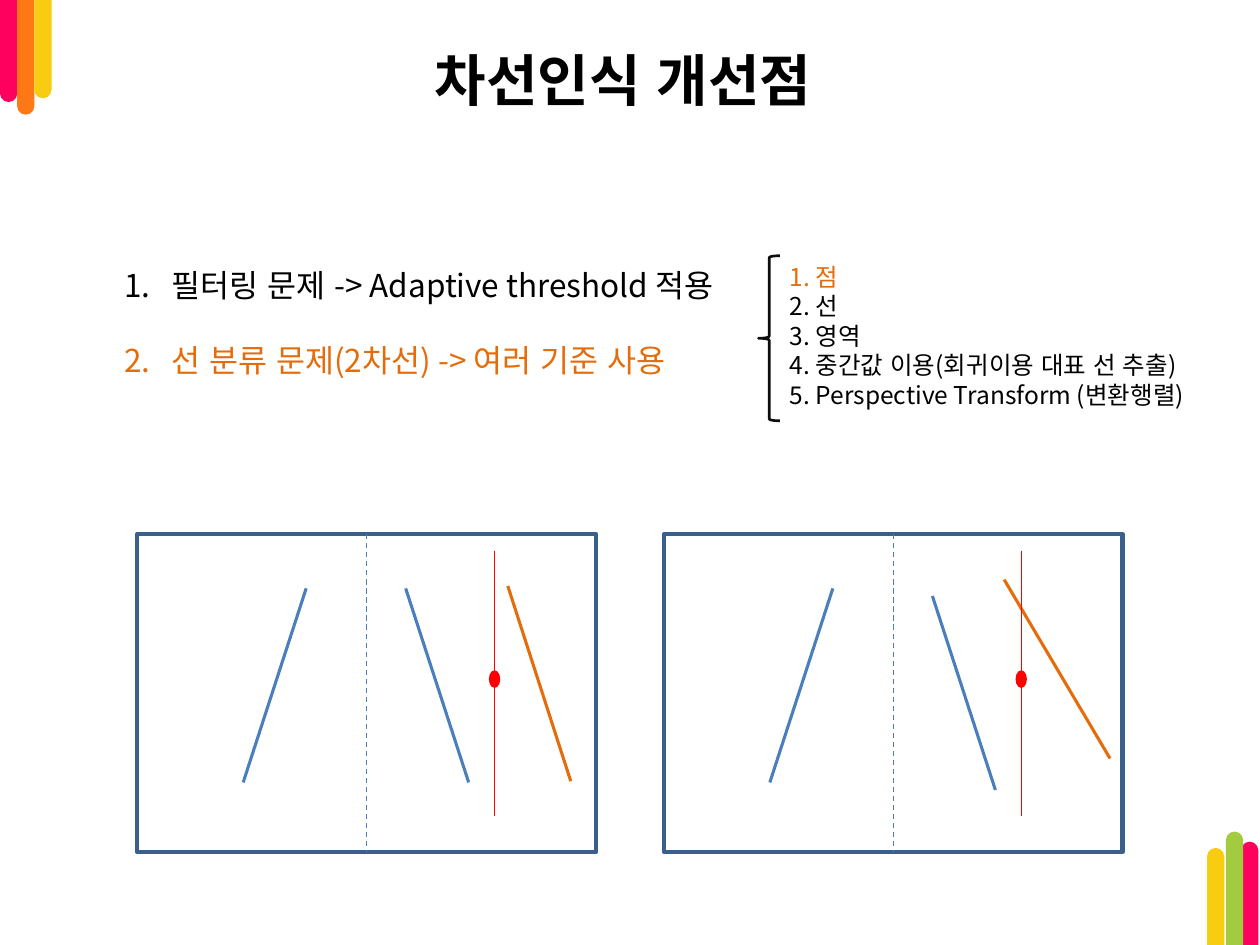
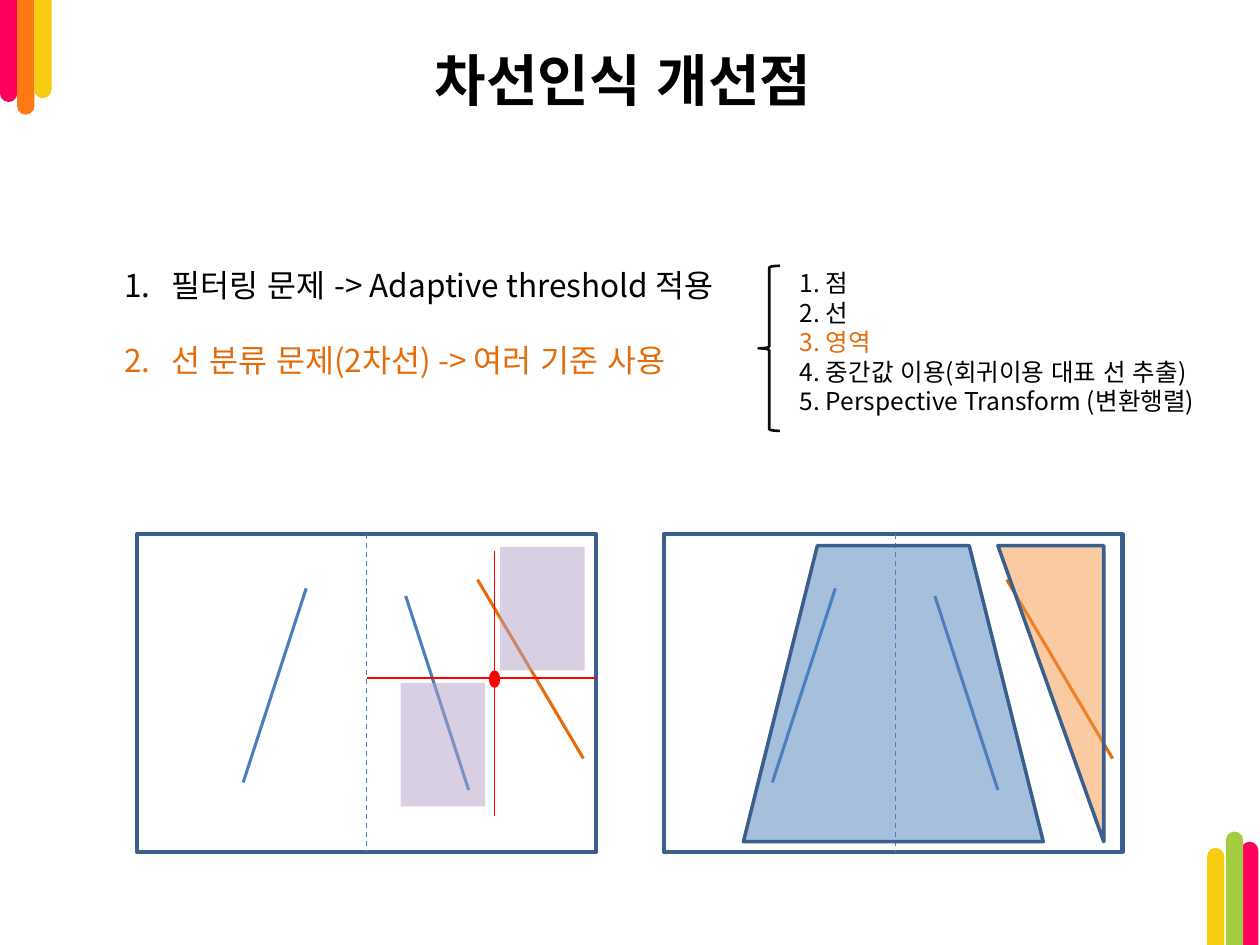
import dataclasses

import lxml.etree
import pptx
import pptx.dml.color
import pptx.enum.dml
import pptx.enum.lang
import pptx.enum.shapes
import pptx.enum.text
import pptx.oxml.ns
import pptx.util

SHAPE = pptx.enum.shapes.MSO_SHAPE
ALIGN = pptx.enum.text.PP_ALIGN
ANCHOR = pptx.enum.text.MSO_ANCHOR
qn = pptx.oxml.ns.qn


@dataclasses.dataclass(frozen=True)
class Theme:
    ink: str = "000000"
    brace: str = "0D0D0D"
    accent: str = "E46C0A"
    lane: str = "4B7EBC"
    frame: str = "3A5F8C"
    marker: str = "FF0000"
    own_area: str = "4F81BD"
    side_area: str = "F79646"
    window: str = "B3A2C7"
    pink: str = "FE005E"
    orange: str = "FE7815"
    yellow: str = "F8CC11"
    green: str = "A3CB3F"
    title_font: str = "Karla"
    body_font: str = "Noto Sans CJK KR"
    title_size: int = 32
    body_size: int = 18
    option_size: int = 14
    hairline: float = 0.75
    brace_line: float = 1.5
    lane_line: float = 1.75
    area_line: float = 2
    frame_line: float = 2.5


TITLE = "차선인식 개선점"
IMPROVEMENTS = ["필터링 문제 -> Adaptive threshold 적용",
                "선 분류 문제(2차선) -> 여러 기준 사용"]
CRITERIA = ["1. 점", "2. 선", "3. 영역", "4. 중간값 이용(회귀이용 대표 선 추출)",
            "5. Perspective Transform (변환행렬)"]

COLUMNS, ROWS = 100, 75
PANEL_TOP, PANEL_WIDTH, PANEL_HEIGHT = 42.4, 36.4, 25.2
PANEL_LEFTS = (10.9, 52.7)
MIDDLE = PANEL_WIDTH / 2
MARKER_X, MARKER_Y = 28.35, 11.5

# Lanes inside a panel: x and y of the far end, then of the near end
LEFT_LANE = (13.4, 4.3, 8.4, 19.7)
RIGHT_LANE = (21.3, 4.3, 26.3, 19.7)
LOW_RIGHT_LANE = (21.3, 4.9, 26.3, 20.3)
PARALLEL_LINE = (29.4, 4.1, 34.4, 19.6)
SLANTED_LINE = (27, 3.6, 35.4, 17.8)


def rgb(color):
    return pptx.dml.color.RGBColor.from_string(color)


class Deck:
    """Draws on the current slide, in grid cells counted from the origin."""

    def __init__(self, theme):
        self.theme = theme
        self.file = pptx.Presentation()
        self.file.slide_width = pptx.util.Inches(10)
        self.file.slide_height = pptx.util.Inches(7.5)
        self.slide = None
        self.origin = (0, 0)

    def x(self, columns):
        return round(self.file.slide_width * columns / COLUMNS)

    def y(self, rows):
        return round(self.file.slide_height * rows / ROWS)

    def place(self, left, top, width, height):
        return (self.x(self.origin[0] + left), self.y(self.origin[1] + top),
                self.x(width), self.y(height))

    def new_slide(self):
        self.slide = self.file.slides.add_slide(self.file.slide_layouts[6])
        self.origin = (0, 0)

    def shape(self, kind, box, fill=None, line=None, weight=None, opacity=100):
        drawn = self.slide.shapes.add_shape(kind, *self.place(*box))
        drawn.shadow.inherit = False
        if fill:
            drawn.fill.solid()
            drawn.fill.fore_color.rgb = rgb(fill)
            if opacity < 100:
                color = drawn.element.spPr.find(qn("a:solidFill"))[0]
                lxml.etree.SubElement(color, qn("a:alpha"), val=str(opacity * 1000))
        else:
            drawn.fill.background()
        if line:
            drawn.line.color.rgb = rgb(line)
            drawn.line.width = pptx.util.Pt(weight)
        else:
            drawn.line.fill.background()
        return drawn

    def line(self, ends, color, weight, dashed=False):
        x1, y1, x2, y2 = ends
        left, top = self.origin
        drawn = self.slide.shapes.add_connector(
            pptx.enum.shapes.MSO_CONNECTOR.STRAIGHT,
            self.x(left + x1), self.y(top + y1), self.x(left + x2), self.y(top + y2))
        drawn.line.color.rgb = rgb(color)
        drawn.line.width = pptx.util.Pt(weight)
        if dashed:
            drawn.line.dash_style = pptx.enum.dml.MSO_LINE.DASH
        lxml.etree.SubElement(drawn.element.spPr, qn("a:effectLst"))

    def text(self, box, lines, size, font=None, highlight=None, bold=False,
             align=ALIGN.LEFT, anchor=ANCHOR.TOP, spacing=1, numbered=False):
        """Write one paragraph per line; the highlighted index gets the accent."""
        frame = self.slide.shapes.add_textbox(*self.place(*box)).text_frame
        frame.word_wrap = True
        frame.auto_size = pptx.enum.text.MSO_AUTO_SIZE.SHAPE_TO_FIT_TEXT
        frame.vertical_anchor = anchor
        for index, words in enumerate(lines):
            paragraph = frame.add_paragraph() if index else frame.paragraphs[0]
            paragraph.alignment = align
            paragraph.line_spacing = float(spacing)
            if numbered:
                self.number(paragraph)
            run = paragraph.add_run()
            run.text = words
            run.font.size = pptx.util.Pt(size)
            run.font.bold = bold
            run.font.name = font or self.theme.body_font
            run.font.language_id = pptx.enum.lang.MSO_LANGUAGE_ID.KOREAN
            run.font.color.rgb = rgb(
                self.theme.accent if index == highlight else self.theme.ink)
            latin = run.font._element.find(qn("a:latin"))
            latin.addnext(latin.makeelement(
                qn("a:ea"), {"typeface": self.theme.body_font}))

    def number(self, paragraph):
        properties = paragraph._p.get_or_add_pPr()
        hang = self.x(3.75)
        properties.set("marL", str(hang))
        properties.set("indent", str(-hang))
        lxml.etree.SubElement(properties, qn("a:buFont"), typeface="+mj-lt")
        lxml.etree.SubElement(properties, qn("a:buAutoNum"), type="arabicPeriod")

    def bar(self, left, top, height, color, hanging):
        bar = self.shape(SHAPE.ROUND_2_SAME_RECTANGLE, (left, top, 1.37, height), color)
        bar.adjustments[0], bar.adjustments[1] = 0.5, 0
        bar.rotation = 180 if hanging else 0

    def corner_bars(self):
        theme = self.theme
        hanging = [(8.1, theme.pink), (9.1, theme.orange), (7.8, theme.yellow)]
        for index, (height, color) in enumerate(hanging):
            self.bar(index * 1.36, 0, height, color, True)
        standing = [(98.5, 8.2, theme.pink), (97.3, 9, theme.green),
                    (95.8, 7.7, theme.yellow)]
        for left, height, color in standing:
            self.bar(left, ROWS - height, height, color, False)

    def agenda(self, criterion, criteria_box, brace_top):
        """Start a slide with the title, the improvements and one lit criterion."""
        theme = self.theme
        self.new_slide()
        self.corner_bars()
        self.text((15.7, 3.1, 67.5, 6.4), [TITLE], theme.title_size, theme.title_font,
                  bold=True, align=ALIGN.CENTER, anchor=ANCHOR.MIDDLE)
        self.text((8.9, 17.6, 82.3, 13.1), IMPROVEMENTS, theme.body_size,
                  highlight=1, spacing=2, numbered=True)
        self.text(criteria_box, CRITERIA, theme.option_size, highlight=criterion)
        self.shape(SHAPE.LEFT_BRACE, (60.2, brace_top, 1.7, 13.1),
                   line=theme.brace, weight=theme.brace_line)

    def road(self, panel, lanes, other_line, shift=0):
        """Frame a panel and draw its lanes, the other line and the middle."""
        theme = self.theme
        self.origin = (PANEL_LEFTS[panel], PANEL_TOP)
        self.shape(SHAPE.RECTANGLE, (0, 0, PANEL_WIDTH, PANEL_HEIGHT),
                   line=theme.frame, weight=theme.frame_line)
        self.origin = (PANEL_LEFTS[panel] + shift, PANEL_TOP)
        for lane in lanes:
            self.line(lane, theme.lane, theme.lane_line)
        self.line(other_line, theme.accent, theme.lane_line)
        self.line((MIDDLE, 0, MIDDLE, PANEL_HEIGHT), theme.lane, theme.hairline, True)
        self.origin = (PANEL_LEFTS[panel], PANEL_TOP)

    def marker(self):
        theme = self.theme
        self.shape(SHAPE.OVAL, (MARKER_X - 0.45, MARKER_Y - 0.7, 0.9, 1.4), theme.marker)
        self.line((MARKER_X, 1.3, MARKER_X, 22.4), theme.marker, theme.hairline)


def point_slide(deck):
    deck.agenda(0, (61.7, 20.3, 38.3, 12.8), 20.3)
    deck.road(0, (LEFT_LANE, RIGHT_LANE), PARALLEL_LINE)
    deck.marker()
    deck.road(1, (LEFT_LANE, LOW_RIGHT_LANE), SLANTED_LINE)
    deck.marker()


def area_slide(deck):
    theme = deck.theme
    lanes = (LEFT_LANE, LOW_RIGHT_LANE)
    deck.agenda(2, (62.5, 20.8, 35.9, 12.8), 21.1)

    deck.road(1, lanes, SLANTED_LINE, shift=0.2)
    deck.shape(SHAPE.TRAPEZOID, (6.3, 0.9, 23.8, 23.5), theme.own_area,
               theme.frame, theme.area_line, opacity=50)
    side_area = deck.shape(SHAPE.RIGHT_TRIANGLE, (26.5, 0.9, 8.4, 23.5),
                           theme.side_area, theme.frame, theme.area_line, opacity=50)
    side_area.rotation = 180

    deck.road(0, lanes, SLANTED_LINE)
    deck.marker()
    deck.line((MIDDLE, 11.4, PANEL_WIDTH, 11.4), theme.marker, theme.hairline)
    for left, top in ((28.8, 1), (20.9, 11.8)):
        deck.shape(SHAPE.RECTANGLE, (left, top, 6.7, 9.8), theme.window, opacity=50)


def main():
    deck = Deck(Theme())
    point_slide(deck)
    area_slide(deck)
    deck.file.save("out.pptx")


if __name__ == "__main__":
    main()
